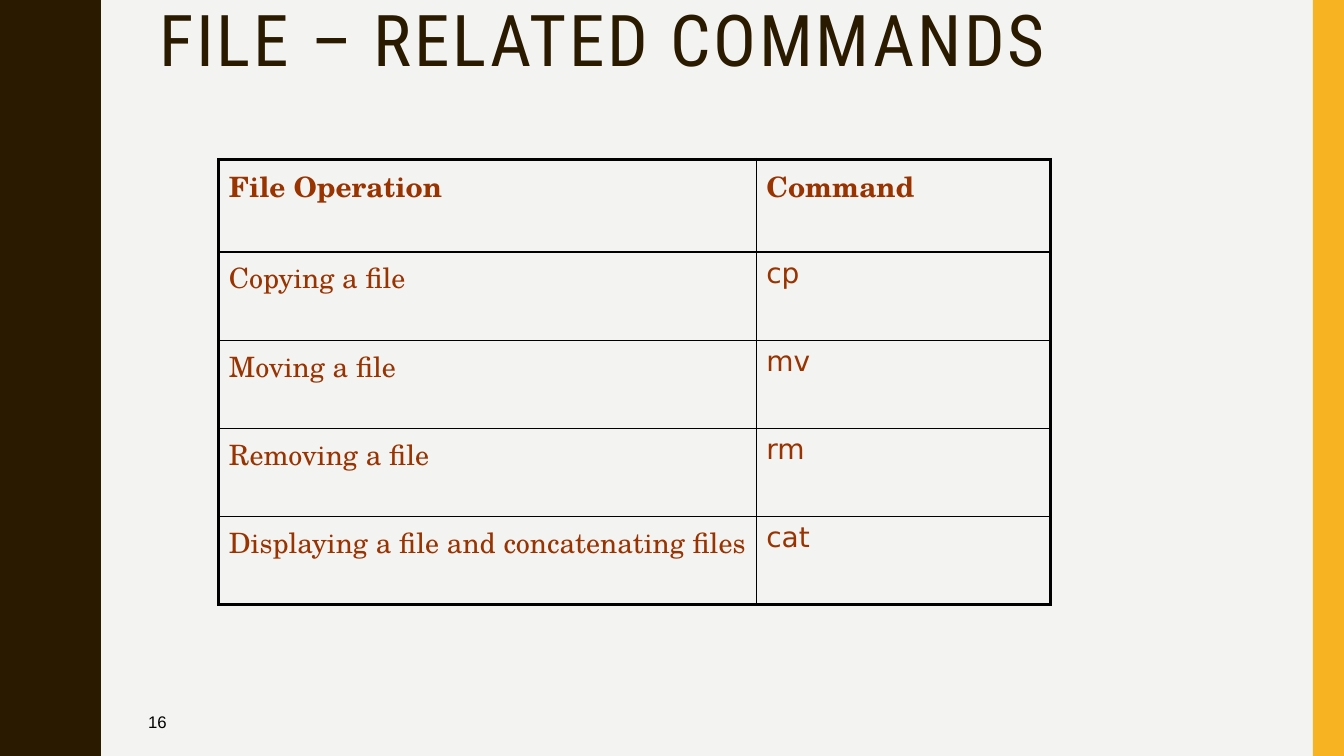
import lxml.etree
import pptx
import pptx.util
import pptx.dml.color
import pptx.enum.shapes
import pptx.enum.text
import pptx.oxml.ns

BROWN = pptx.dml.color.RGBColor(0x2A, 0x1A, 0x00)
AMBER = pptx.dml.color.RGBColor(0xF8, 0xB3, 0x23)
PALE = pptx.dml.color.RGBColor(0xF3, 0xF3, 0xF2)
RUST = pptx.dml.color.RGBColor(0x99, 0x33, 0x00)
BLACK = pptx.dml.color.RGBColor(0, 0, 0)

SERIF, SANS = "TeX Gyre Schola", "DejaVu Sans"
LEFT = pptx.enum.text.PP_ALIGN.LEFT
JUSTIFY = pptx.enum.text.PP_ALIGN.JUSTIFY


def write(frame, text, font, size, color, bold=False, align=LEFT, spacing=None, tracking=None):
    para = frame.paragraphs[0]
    para.alignment = align
    para.line_spacing = spacing
    span = para.add_run()
    span.text = text
    span.font.name = font
    span.font.size = pptx.util.Pt(size)
    span.font.bold = bold
    span.font.color.rgb = color
    if tracking:
        span.font._element.set("spc", str(tracking * 100))


def add_border(cell, side, points):
    line = lxml.etree.SubElement(cell._tc.get_or_add_tcPr(), pptx.oxml.ns.qn("a:ln" + side))
    line.set("w", str(pptx.util.Pt(points)))
    fill = lxml.etree.SubElement(line, pptx.oxml.ns.qn("a:solidFill"))
    lxml.etree.SubElement(fill, pptx.oxml.ns.qn("a:srgbClr")).set("val", str(BLACK))


deck = pptx.Presentation()
deck.slide_width = pptx.util.Inches(13.33)
deck.slide_height = pptx.util.Inches(7.5)
page = deck.slides.add_slide(deck.slide_layouts[5])
page.background.fill.solid()
page.background.fill.fore_color.rgb = PALE

# Wavy left edge: one swell, then its mirror, repeated down the slide
HALF_WAVE = 0.75
swell = [(0.78, 0), (0.78, 0.07), (0.79, 0.14), (0.8, 0.2), (0.81, 0.25),
         (0.83, 0.29), (0.85, 0.33), (0.87, 0.38), (0.89, 0.42), (0.91, 0.46),
         (0.93, 0.5), (0.95, 0.55), (0.96, 0.61), (0.97, 0.68)]
ebb = [(x, HALF_WAVE - y) for x, y in reversed(swell)]
crest = [(0.97, HALF_WAVE)]
edge = []
for half in range(10):
    profile = ebb if half % 2 else swell + crest
    edge += [(x, y + half * HALF_WAVE) for x, y in profile]
outline = page.shapes.build_freeform(0, 0, scale=pptx.util.Inches(1))
outline.add_line_segments(edge + [(0, 7.5)], close=True)
wave = outline.convert_to_shape()

# Right band
band_width = pptx.util.Inches(0.31)
band = page.shapes.add_shape(pptx.enum.shapes.MSO_SHAPE.RECTANGLE,
                             deck.slide_width - band_width, 0, band_width, deck.slide_height)

for shape, color in ((wave, BROWN), (band, AMBER)):
    shape.shadow.inherit = False
    shape.fill.solid()
    shape.fill.fore_color.rgb = color
    shape.line.fill.background()

# Title
title = page.shapes.title
title.left, title.top = 0, 0
title.width, title.height = deck.slide_width, pptx.util.Inches(1)
title.text_frame.margin_left = pptx.util.Inches(1.58)
title.text_frame.auto_size = pptx.enum.text.MSO_AUTO_SIZE.NONE
title.text_frame.vertical_anchor = pptx.enum.text.MSO_ANCHOR.TOP
write(title.text_frame, "FILE – RELATED COMMANDS", "Roboto Condensed", 51, BROWN,
      spacing=0.9, tracking=2)

# Command table
rows = [("File Operation", "Command"),
        ("Copying a file", "cp"),
        ("Moving a file", "mv"),
        ("Removing a file", "rm"),
        ("Displaying a file and concatenating files", "cat")]
widths = [5.33, 2.92]
heights = [0.92] + [0.875] * 4
frame = page.shapes.add_table(len(rows), len(widths), pptx.util.Inches(2.17), pptx.util.Inches(1.58),
                              pptx.util.Inches(sum(widths)), pptx.util.Inches(sum(heights)))
table = frame.table
table.horz_banding = False
for column, width in zip(table.columns, widths):
    column.width = pptx.util.Inches(width)
for r, row in enumerate(rows):
    table.rows[r].height = pptx.util.Inches(heights[r])
    for c, text in enumerate(row):
        cell = table.cell(r, c)
        outer = {"L": c == 0, "R": c == len(widths) - 1, "T": r == 0, "B": r == len(rows) - 1}
        for side, is_outer in outer.items():
            add_border(cell, side, 2.25 if is_outer else 1)
        cell.fill.background()
        write(cell.text_frame, text, SANS if r and c else SERIF, 20, RUST,
              bold=r == 0, align=JUSTIFY)

# Slide number
number = page.shapes.add_textbox(pptx.util.Inches(1.37), pptx.util.Inches(6.97),
                                 pptx.util.Inches(2.55), pptx.util.Inches(0.38))
number.text_frame.word_wrap = True
number.text_frame.vertical_anchor = pptx.enum.text.MSO_ANCHOR.MIDDLE
write(number.text_frame, "16", "Arial", 12, BLACK)

deck.save("out.pptx")
